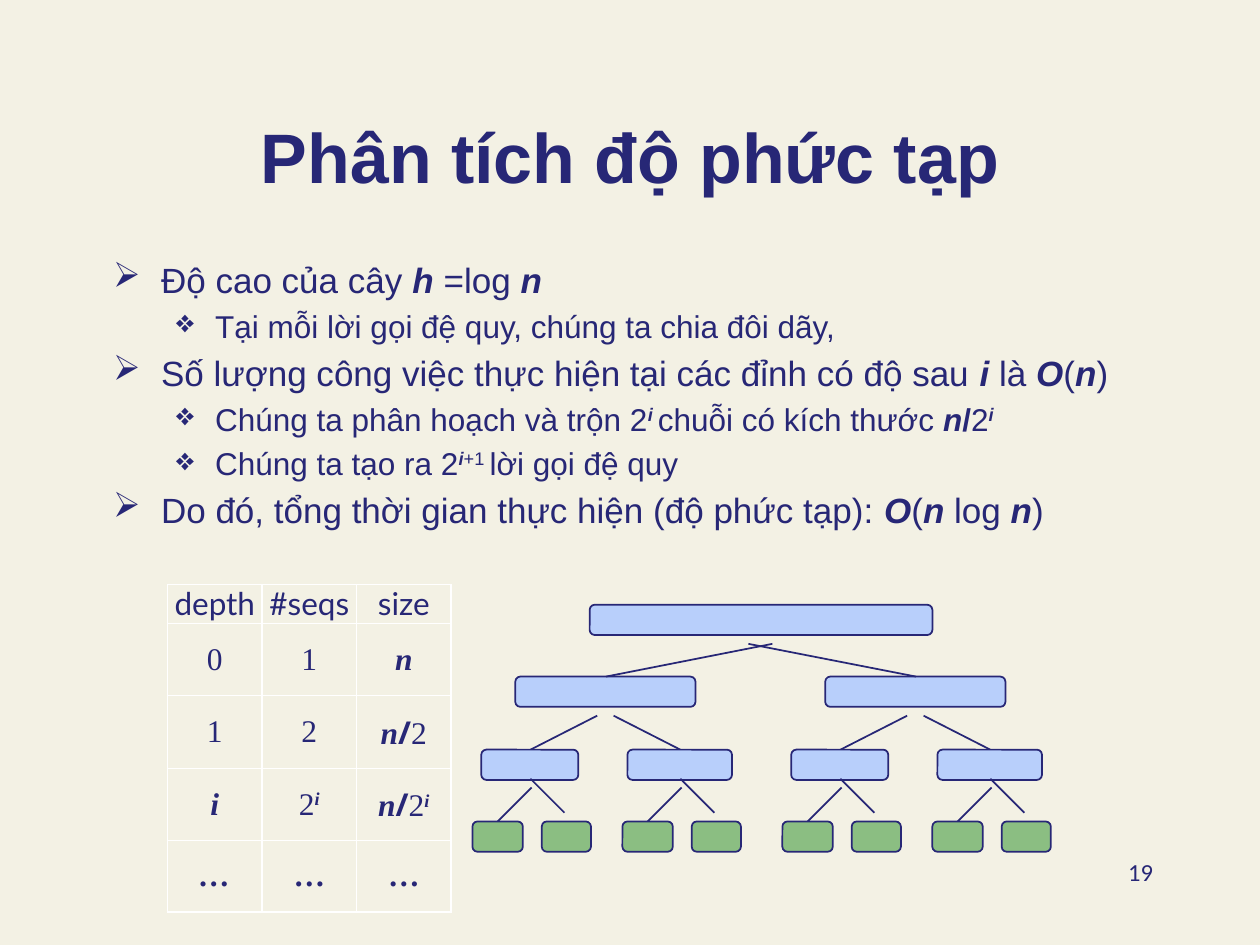
import pptx
import pptx.dml.color
import pptx.enum.shapes
import pptx.enum.text
import pptx.oxml
import pptx.oxml.ns
import pptx.util
from lxml import etree
from pptx.util import Inches

COLORS = {"paper": "F3F1E4", "ink": "272776", "node": "B8CFFB", "leaf": "8BBE82"}
ALIGN = pptx.enum.text.PP_ALIGN
ANCHOR = pptx.enum.text.MSO_ANCHOR

# A span is (text, style): b bold, i italic, ^ superscript, s sans-serif slash.
POINTS = [
    (0, [("Độ cao của cây ", ""), ("h", "bi"), (" =log ", ""), ("n", "bi")]),
    (1, [("Tại mỗi lời gọi đệ quy, chúng ta chia đôi dãy,", "")]),
    (0, [("Số lượng công việc thực hiện tại các đỉnh có độ sau ", ""), ("i ", "bi"),
         ("là ", ""), ("O", "bi"), ("(", ""), ("n", "bi"), (")", "")]),
    (1, [("Chúng ta phân hoạch và trộn 2", ""), ("i ", "bi^"),
         ("chuỗi có kích thước ", ""), ("n", "bi"), ("/", "b"), ("2", ""), ("i", "bi^")]),
    (1, [("Chúng ta tạo ra 2", ""), ("i", "bi^"), ("+1 ", "^"), ("lời gọi đệ quy", "")]),
    (0, [("Do đó, tổng thời gian thực hiện (độ phức tạp): ", ""), ("O", "bi"),
         ("(", ""), ("n ", "bi"), ("log ", ""), ("n", "bi"), (")", "")]),
]
# Per level: text size, left indent, hanging indent, space before, bullet
LEVELS = [(20, 0.38, 0.38, 4, "➢"), (18, 0.81, 0.31, 3.6, "❖")]

COST_ROWS = [
    [[("depth", "")], [("#seqs", "")], [("size", "")]],
    [[("0", "")], [("1", "")], [("n", "bi")]],
    [[("1", "")], [("2", "")], [("n", "bi"), ("/", "bs"), ("2", "")]],
    [[("i", "bi")], [("2", ""), ("i", "bi^")],
     [("n", "bi"), ("/", "bs"), ("2", ""), ("i", "bi^")]],
    [[("…", "bi")], [("…", "b")], [("…", "b")]],
]
ROW_HEIGHTS = [0.31, 0.57, 0.58, 0.57, 0.57]

NODE_HEIGHT = 0.24
LEVEL_TOPS = [4.8, 5.37, 5.95, 6.52]
HALF_STEP = 2.46
QUARTER_STEP = 1.19


def color(name):
    return pptx.dml.color.RGBColor.from_string(COLORS[name])


def add_spans(para, spans, size, font):
    for text, style in spans:
        span = para.add_run()
        span.text = text
        span.font.size = pptx.util.Pt(size)
        span.font.name = "Open Sans" if "s" in style else font
        span.font.bold = "b" in style
        span.font.italic = "i" in style
        span.font.color.rgb = color("ink")
        if "^" in style:
            span._r.get_or_add_rPr().set("baseline", "30000")


def add_text_box(slide, left, top, width, height, anchor=ANCHOR.TOP):
    box = slide.shapes.add_textbox(
        Inches(left), Inches(top), Inches(width), Inches(height))
    box.text_frame.word_wrap = True
    box.text_frame.vertical_anchor = anchor
    return box.text_frame


def add_line_of_text(slide, place, spans, size, font, align, anchor=ANCHOR.TOP):
    para = add_text_box(slide, *place, anchor).paragraphs[0]
    para.alignment = align
    add_spans(para, spans, size, font)


def set_bullet(para, char, left, hanging):
    properties = para._p.get_or_add_pPr()
    properties.set("marL", str(Inches(left)))
    properties.set("indent", str(-Inches(hanging)))
    tag = pptx.oxml.ns.qn
    bullet_color = etree.SubElement(properties, tag("a:buClr"))
    etree.SubElement(bullet_color, tag("a:srgbClr"), val=COLORS["ink"])
    etree.SubElement(properties, tag("a:buChar"), char=char)


def add_points(slide):
    frame = add_text_box(slide, 0.8, 2, 8.67, 2.42)
    for index, (level, spans) in enumerate(POINTS):
        size, left, hanging, before, char = LEVELS[level]
        para = frame.add_paragraph() if index else frame.paragraphs[0]
        para.level = level
        if index:
            para.space_before = pptx.util.Pt(before)
        set_bullet(para, char, left, hanging)
        add_spans(para, spans, size, "Arial")


def add_cost_table(slide):
    table = slide.shapes.add_table(
        len(COST_ROWS), 3, Inches(1.33), Inches(4.64),
        Inches(2.25), Inches(sum(ROW_HEIGHTS))).table
    table.first_row = False
    table.horz_banding = False
    for column in table.columns:
        column.width = Inches(0.75)
    for row, cells in enumerate(COST_ROWS):
        table.rows[row].height = Inches(ROW_HEIGHTS[row])
        for column, spans in enumerate(cells):
            cell = table.cell(row, column)
            cell.fill.background()
            cell.margin_left = cell.margin_right = 0
            cell.margin_top = cell.margin_bottom = 0
            cell.vertical_anchor = ANCHOR.MIDDLE if row else ANCHOR.TOP
            para = cell.text_frame.paragraphs[0]
            para.alignment = ALIGN.CENTER
            add_spans(para, spans, 18, "Times New Roman" if row else "Lato")


def add_node(slide, left, level, width):
    node = slide.shapes.add_shape(
        pptx.enum.shapes.MSO_SHAPE.ROUNDED_RECTANGLE, Inches(left),
        Inches(LEVEL_TOPS[level]), Inches(width), Inches(NODE_HEIGHT))
    node.adjustments[0] = 0.167
    node.shadow.inherit = False
    node.fill.solid()
    node.fill.fore_color.rgb = color("leaf" if level == 3 else "node")
    node.line.color.rgb = color("ink")
    node.line.width = pptx.util.Pt(1)


def add_branch(slide, x1, y1, x2, y2):
    branch = slide.shapes.add_connector(
        pptx.enum.shapes.MSO_CONNECTOR.STRAIGHT,
        Inches(x1), Inches(y1), Inches(x2), Inches(y2))
    branch.line.color.rgb = color("ink")
    branch.line.width = pptx.util.Pt(1)
    etree.SubElement(branch._element.spPr, pptx.oxml.ns.qn("a:effectLst"))


def add_half_tree(slide, shift):
    """Draw the subtree under one child of the root, moved right by shift."""
    add_branch(slide, 4.21 + shift, 5.95, 4.74 + shift, 5.68)
    add_branch(slide, 5.4 + shift, 5.95, 4.87 + shift, 5.68)
    add_node(slide, 4.09 + shift, 1, 1.43)
    for left, width in ((3.82, 0.77), (4.98, 0.83)):
        add_node(slide, left + shift, 2, width)
    for offset in (shift, shift + QUARTER_STEP):
        add_branch(slide, 3.95 + offset, 6.52, 4.22 + offset, 6.25)
        add_branch(slide, 4.21 + offset, 6.18, 4.48 + offset, 6.45)
        add_node(slide, 3.75 + offset, 3, 0.4)
        add_node(slide, 4.3 + offset, 3, 0.39)


def add_tree(slide):
    for half in range(2):
        add_half_tree(slide, half * HALF_STEP)
    add_node(slide, 4.68, 0, 2.72)
    add_branch(slide, 4.81, 5.37, 6.13, 5.11)
    add_branch(slide, 7.27, 5.37, 5.94, 5.11)


def main():
    deck = pptx.Presentation()
    deck.slide_width, deck.slide_height = Inches(10), Inches(7.5)
    page = deck.slides.add_slide(deck.slide_layouts[6])
    page.background.fill.solid()
    page.background.fill.fore_color.rgb = color("paper")
    add_line_of_text(page, (0.75, 0.54, 8.5, 1.08), [("Phân tích độ phức tạp", "b")],
                     40, "Arial", ALIGN.CENTER, ANCHOR.BOTTOM)
    add_points(page)
    add_tree(page)
    add_cost_table(page)
    add_line_of_text(page, (7.17, 6.75, 2.08, 0.5), [("19", "")],
                     14, "Calibri", ALIGN.RIGHT)
    deck.save("out.pptx")


if __name__ == "__main__":
    main()
